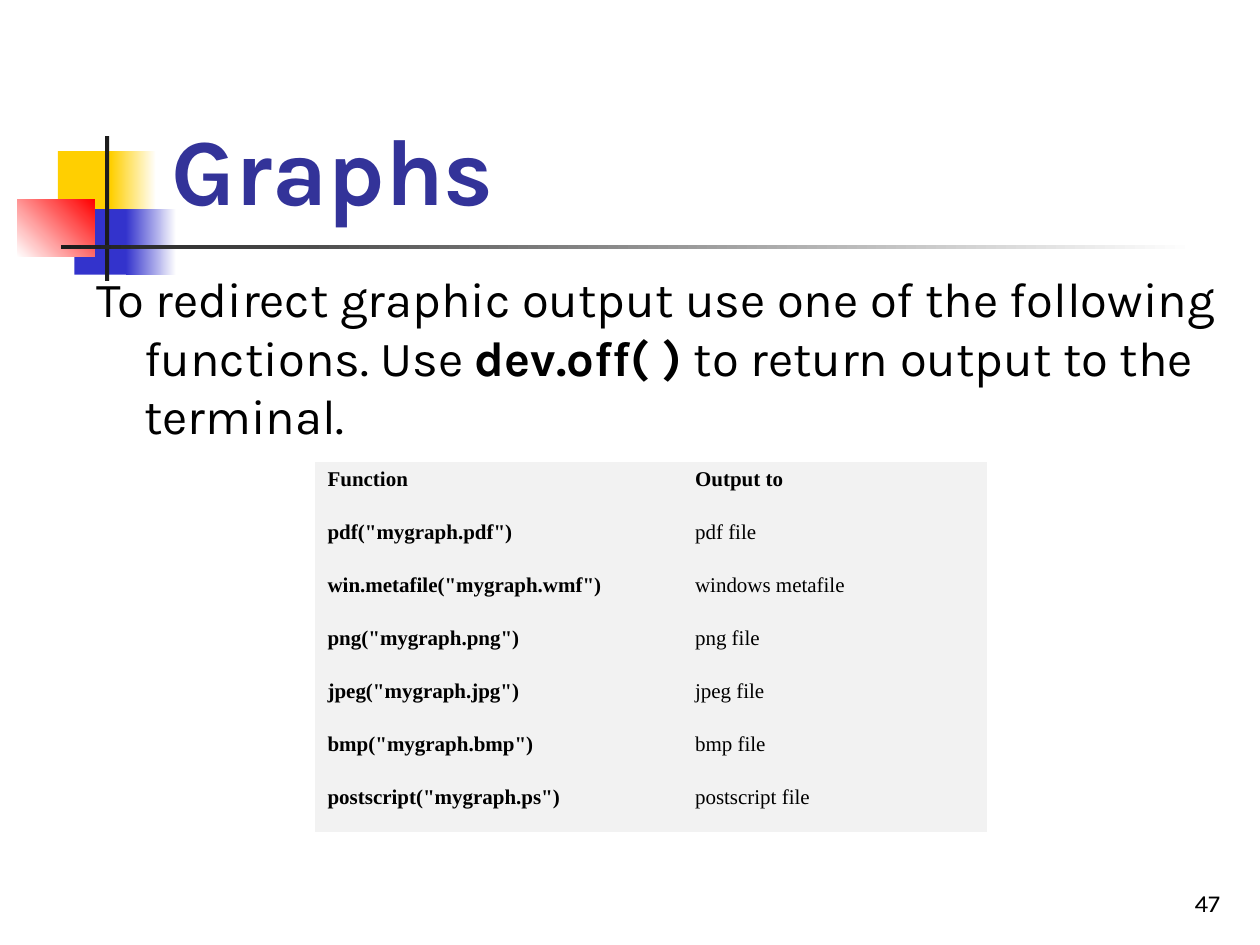
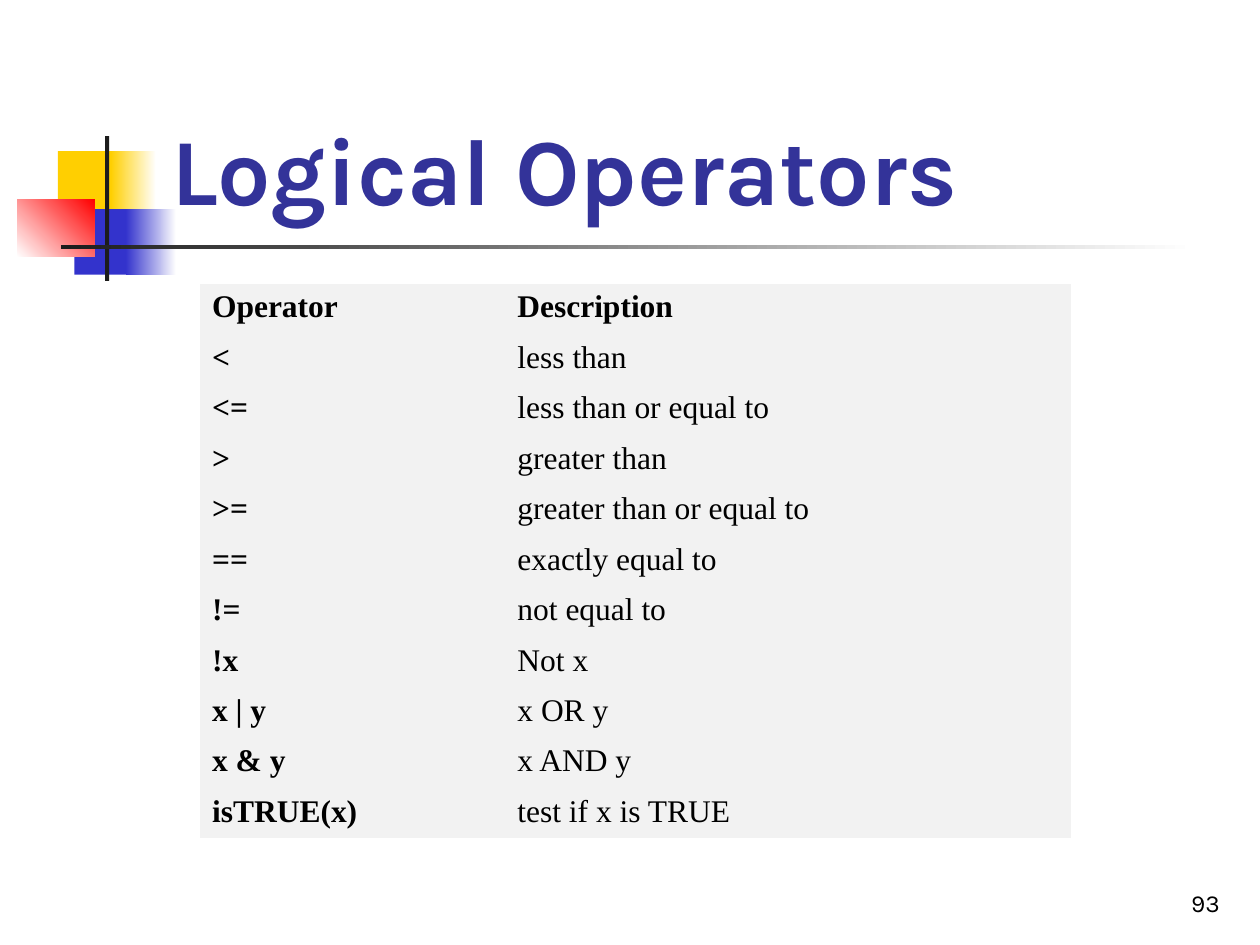
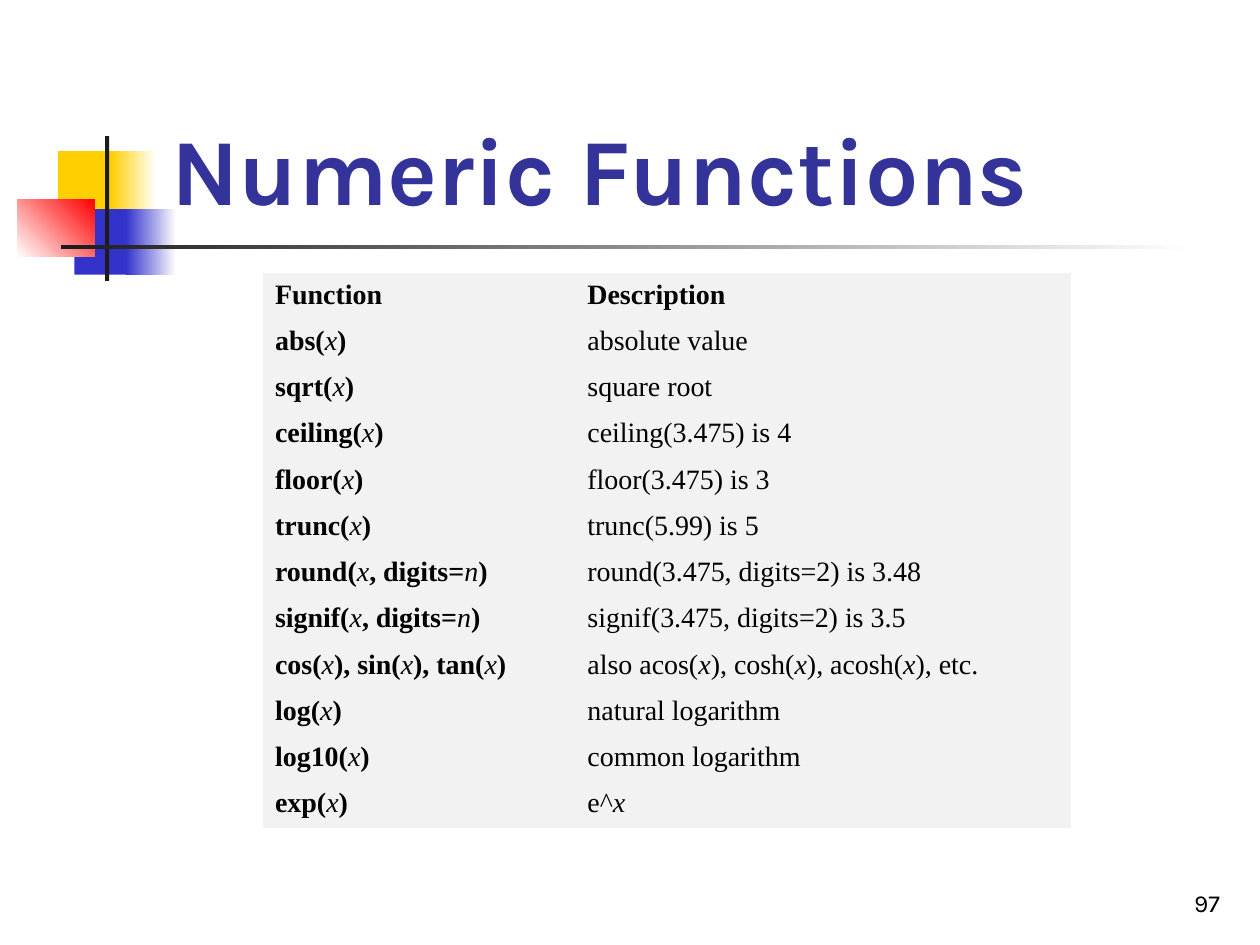
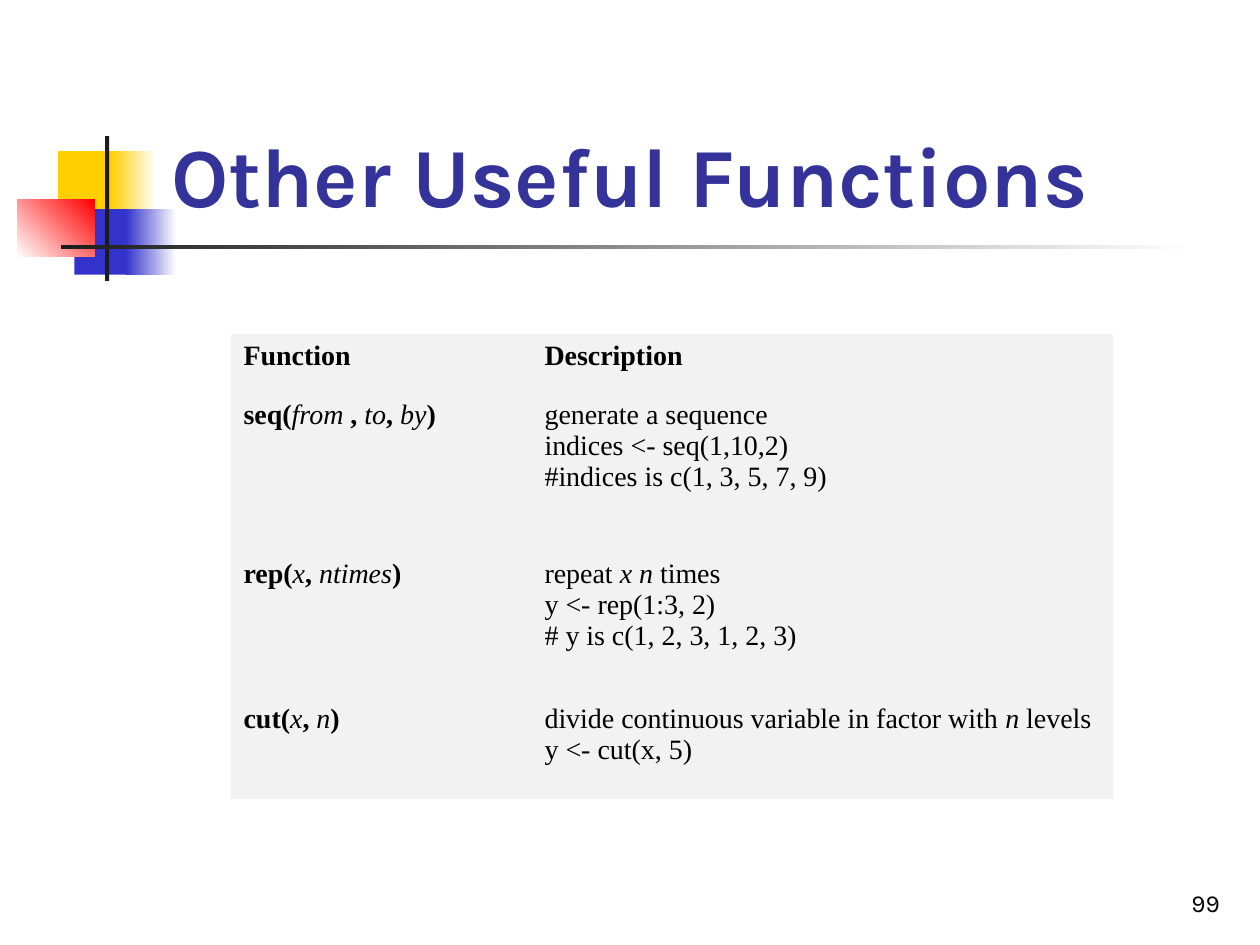
from pptx import Presentation
from pptx.dml.color import RGBColor
from pptx.enum.shapes import MSO_SHAPE as Shape
from pptx.enum.text import MSO_ANCHOR as Anchor, PP_ALIGN as Align
from pptx.oxml.ns import qn
from pptx.util import Pt

# Colours
BLACK = RGBColor(0x00, 0x00, 0x00)
WHITE = RGBColor(0xFF, 0xFF, 0xFF)
YELLOW = RGBColor(0xFF, 0xCF, 0x01)
BLUE = RGBColor(0x33, 0x33, 0xCC)
RED = RGBColor(0xFF, 0x00, 0x00)
CHARCOAL = RGBColor(0x1C, 0x1C, 0x1C)
TITLE_BLUE = RGBColor(0x33, 0x33, 0x99)
CELL_GREY = RGBColor(0xF2, 0xF2, 0xF2)

# Fonts and table style
SANS = "Karla"
SERIF = "Times New Roman"
NO_STYLE_NO_GRID = "{2D5ABB26-0587-4C30-8999-92F81FD0307C}"

# Corner ornament and title rule: box, colours, gradient angle
ORNAMENT = [
    ((33.12, 86.4, 34.56, 37.44), [YELLOW], 0),
    ((63.36, 86.4, 25.92, 37.44), [YELLOW, WHITE], 0),
    ((42.48, 119.52, 33.12, 37.44), [BLUE], 0),
    ((72, 119.52, 28.8, 37.44), [BLUE, WHITE], 0),
    ((10, 113.76, 44, 33.12), [WHITE, RED], 45),
    ((60, 77.76, 2.4, 82.8), [CHARCOAL], 0),
    ((34.8, 140.1, 648, 2.4), [CHARCOAL, WHITE], 0),
]

# Table contents; asterisks enclose emphasised words
OUTPUT_FUNCTIONS = [
    ("Function", "Output to"),
    ('pdf("mygraph.pdf")', "pdf file"),
    ('win.metafile("mygraph.wmf")', "windows metafile"),
    ('png("mygraph.png")', "png file"),
    ('jpeg("mygraph.jpg")', "jpeg file"),
    ('bmp("mygraph.bmp")', "bmp file"),
    ('postscript("mygraph.ps")', "postscript file"),
]
OPERATORS = [
    ("Operator", "Description"),
    ("<", "less than"),
    ("<=", "less than or equal to"),
    (">", "greater than"),
    (">=", "greater than or equal to"),
    ("==", "exactly equal to"),
    ("!=", "not equal to"),
    ("!x", "Not x"),
    ("x | y", "x OR y"),
    ("x & y", "x AND y"),
    ("isTRUE(x)", "test if x is TRUE"),
]
NUMERIC_FUNCTIONS = [
    ("Function", "Description"),
    ("abs(*x*)", "absolute value"),
    ("sqrt(*x*)", "square root"),
    ("ceiling(*x*)", "ceiling(3.475) is 4"),
    ("floor(*x*)", "floor(3.475) is 3"),
    ("trunc(*x*)", "trunc(5.99) is 5"),
    ("round(*x*, digits=*n*)", "round(3.475, digits=2) is 3.48"),
    ("signif(*x*, digits=*n*)", "signif(3.475, digits=2) is 3.5"),
    ("cos(*x*), sin(*x*), tan(*x*)",
     "also acos(*x*), cosh(*x*), acosh(*x*), etc."),
    ("log(*x*)", "natural logarithm"),
    ("log10(*x*)", "common logarithm"),
    ("exp(*x*)", "e^*x*"),
]
OTHER_FUNCTIONS = [
    ("Function", "Description"),
    ("seq(*from* ,* to*,* by*)",
     "generate a sequence\nindices <- seq(1,10,2)\n#indices is c(1, 3, 5, 7, 9)"),
    ("rep(*x*, *ntimes*)",
     "repeat *x n* times\ny <- rep(1:3, 2)\n# y is c(1, 2, 3, 1, 2, 3)"),
    ("cut(*x*,* n*)",
     "divide continuous variable in factor with *n* levels\ny <- cut(x, 5)"),
]


class Deck:
    """Holds the shared style and the current slide."""

    ITALIC = {"bold": False, "italic": True}
    BOLD = {"bold": True}

    def __init__(self):
        self.presentation = Presentation()
        self.presentation.slide_width = Pt(720)
        self.presentation.slide_height = Pt(540)
        self.slide = None

    def add_slide(self, title, number, title_size=54):
        self.slide = self.presentation.slides.add_slide(
            self.presentation.slide_layouts[6])
        for box, colours, angle in ORNAMENT:
            self.bar(box, colours, angle)
        self.text((554.4, 491.76, 149.76, 36), str(number), 14,
                  anchor=Anchor.BOTTOM, alignment=Align.RIGHT)
        self.text((90.72, 16.56, 613.44, 115.2), title, title_size, TITLE_BLUE,
                  bold=True, anchor=Anchor.BOTTOM)

    def bar(self, box, colours, angle):
        shape = self.slide.shapes.add_shape(Shape.RECTANGLE, *map(Pt, box))
        shape.shadow.inherit = False
        shape.line.fill.background()
        if len(colours) == 1:
            shape.fill.solid()
            shape.fill.fore_color.rgb = colours[0]
        else:
            shape.fill.gradient()
            shape.fill.gradient_angle = angle
            for stop, colour in zip(shape.fill.gradient_stops, colours):
                stop.color.rgb = colour

    def add_runs(self, paragraph, text, colour, base, emphasis):
        """Fill a paragraph; every second part between asterisks is emphasised."""
        for index, part in enumerate(text.split("*")):
            values = {**base, **emphasis} if index % 2 else base
            for line_index, line in enumerate(part.split("\n")):
                if line_index:
                    paragraph.add_line_break()
                if not line:
                    continue
                run = paragraph.add_run()
                run.text = line
                run.font.color.rgb = colour
                for name, value in values.items():
                    setattr(run.font, name, value)

    def text(self, box, text, size, colour=BLACK, bold=False,
             anchor=Anchor.TOP, alignment=Align.LEFT):
        frame = self.slide.shapes.add_textbox(*map(Pt, box)).text_frame
        frame.word_wrap = True
        frame.vertical_anchor = anchor
        paragraph = frame.paragraphs[0]
        paragraph.alignment = alignment
        base = {"name": SANS, "size": Pt(size), "bold": bold}
        self.add_runs(paragraph, text, colour, base, self.BOLD)
        return paragraph

    def body(self, box, text):
        paragraph = self.text(box, text, 28)
        paragraph.space_before = Pt(5.6)
        # Hanging indent
        properties = paragraph._p.get_or_add_pPr()
        properties.set("marL", str(Pt(63)))
        properties.set("indent", str(Pt(-27)))

    def table(self, left, top, widths, heights, rows, size):
        frame = self.slide.shapes.add_table(
            len(rows), len(widths), Pt(left), Pt(top),
            Pt(sum(widths)), Pt(sum(heights)))
        frame._element.find(".//" + qn("a:tableStyleId")).text = NO_STYLE_NO_GRID
        table = frame.table
        table.first_row = table.horz_banding = False
        for column, width in zip(table.columns, widths):
            column.width = Pt(width)
        for row, height in zip(table.rows, heights):
            row.height = Pt(height)
        for row_index, texts in enumerate(rows):
            for column_index, text in enumerate(texts):
                cell = table.cell(row_index, column_index)
                cell.fill.solid()
                cell.fill.fore_color.rgb = CELL_GREY
                # Header row and first column are bold
                base = {"name": SERIF, "size": Pt(size),
                        "bold": row_index == 0 or column_index == 0}
                self.add_runs(cell.text_frame.paragraphs[0], text, BLACK, base,
                              self.ITALIC)


def main():
    deck = Deck()

    # Graph output
    deck.add_slide("Graphs", 47)
    deck.body((12.24, 149.76, 714.24, 306),
              "To redirect graphic output use one of the following functions. "
              "Use *dev.off( )* to return output to the terminal.")
    deck.table(180, 264, (210, 174), [30.24] * len(OUTPUT_FUNCTIONS),
               OUTPUT_FUNCTIONS, 12)

    # Operators
    deck.add_slide("Logical Operators", 93)
    deck.table(114, 162, (174.5, 323.5), [28.8] * len(OPERATORS), OPERATORS, 18)

    # Numeric functions
    deck.add_slide("Numeric Functions", 97)
    deck.table(150, 156, (178.5, 283.5), [26.4] * len(NUMERIC_FUNCTIONS),
               NUMERIC_FUNCTIONS, 16)

    # Other functions
    deck.add_slide("Other Useful Functions", 99, title_size=48)
    deck.table(132, 190.8, (172, 332), (33.84, 90.72, 82.8, 58.32),
               OTHER_FUNCTIONS, 16)

    deck.presentation.save("out.pptx")


if __name__ == "__main__":
    main()
